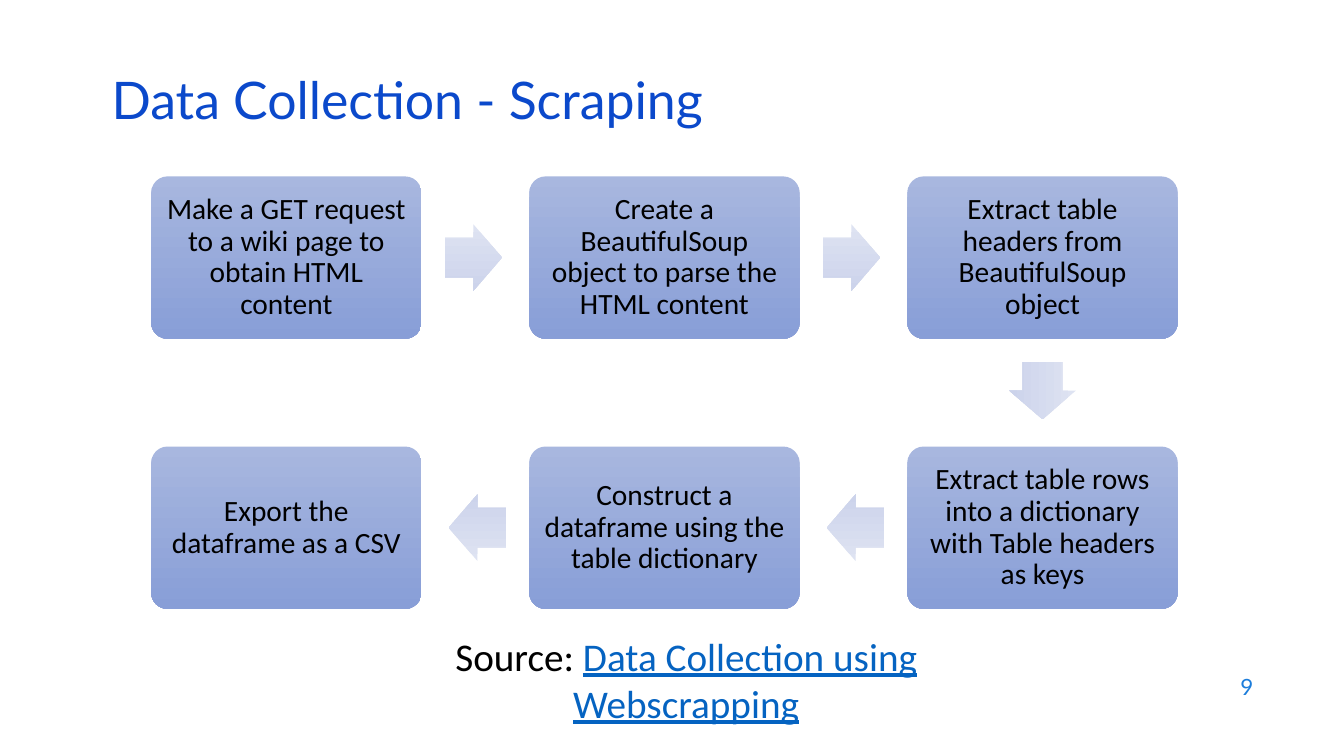
from pptx import Presentation
from pptx.dml.color import RGBColor
from pptx.enum.shapes import MSO_SHAPE
from pptx.enum.text import MSO_ANCHOR, PP_ALIGN
from pptx.util import Inches, Pt

TITLE = "Data Collection - Scraping"
PAGE_NUMBER = "9"
SOURCE_LABEL = "Source: "
SOURCE_LINK = "Data Collection using Webscrapping"

# Steps in order, each with its column, row and the turn of the arrow that follows.
STEPS = [
    ("Make a GET request to a wiki page to obtain HTML content", 0, 0, 0),
    ("Create a BeautifulSoup object to parse the HTML content", 1, 0, 0),
    ("Extract table headers from BeautifulSoup object", 2, 0, 90),
    ("Extract table rows into a dictionary with Table headers as keys", 2, 1, 180),
    ("Construct a dataframe using the table dictionary", 1, 1, 180),
    ("Export the dataframe as a CSV", 0, 1, None),
]

BLACK = RGBColor(0x00, 0x00, 0x00)
TITLE_BLUE = RGBColor(0x0B, 0x49, 0xCB)
NUMBER_BLUE = RGBColor(0x1C, 0x7D, 0xDB)
LINK_BLUE = RGBColor(0x05, 0x63, 0xC1)
BOX_SHADES = RGBColor(0xA8, 0xB7, 0xDF), RGBColor(0x88, 0x9E, 0xD7)
ARROW_SHADES = RGBColor(0xDE, 0xE3, 0xF2), RGBColor(0xCC, 0xD3, 0xEB)

FLOW_LEFT, FLOW_TOP = 1.5, 1.75
COLUMN_PITCH, ROW_PITCH = 3.75, 2.68
BOX_W, BOX_H = 2.68, 1.61
ARROW_W, ARROW_H = 0.57, 0.66
ARROW_GAP = 0.23
DIRECTIONS = {0: (1, 0), 90: (0, 1), 180: (-1, 0)}


def style_run(run, font_name, size, color):
    run.font.name = font_name
    run.font.size = Pt(size)
    run.font.color.rgb = color


def add_label(slide, place, words, font_name, size, color, align, anchor):
    box = slide.shapes.add_textbox(*map(Inches, place))
    frame = box.text_frame
    frame.word_wrap = True
    frame.vertical_anchor = anchor
    frame.text = words
    line = frame.paragraphs[0]
    line.alignment = align
    style_run(line.runs[0], font_name, size, color)
    return line


def add_shaded(slide, preset, place, adjustments, shades):
    """Add a borderless shape shaded from top to bottom."""
    shape = slide.shapes.add_shape(preset, *map(Inches, place))
    shape.shadow.inherit = False
    shape.line.fill.background()
    for index, value in enumerate(adjustments):
        shape.adjustments[index] = value
    shape.fill.gradient()
    shape.fill.gradient_angle = 270
    for stop, shade in zip(shape.fill.gradient_stops, shades):
        stop.color.rgb = shade
    return shape


def add_step(slide, words, left, top):
    step = add_shaded(slide, MSO_SHAPE.ROUNDED_RECTANGLE,
                      (left, top, BOX_W, BOX_H), [0.1], BOX_SHADES)
    frame = step.text_frame
    frame.word_wrap = True
    frame.vertical_anchor = MSO_ANCHOR.MIDDLE
    frame.margin_left = frame.margin_right = Inches(0.09)
    frame.margin_top = frame.margin_bottom = Inches(0.09)
    frame.text = words
    line = frame.paragraphs[0]
    line.alignment = PP_ALIGN.CENTER
    line.line_spacing = 0.9
    style_run(line.runs[0], "Calibri", 21, BLACK)


def add_arrow(slide, left, top, turn):
    """Add the arrow that leaves the step box at left, top."""
    dx, dy = DIRECTIONS[turn]
    reach = ARROW_GAP + ARROW_W / 2
    center_x = left + BOX_W / 2 + dx * (BOX_W / 2 + reach)
    center_y = top + BOX_H / 2 + dy * (BOX_H / 2 + reach)
    place = (center_x - ARROW_W / 2, center_y - ARROW_H / 2, ARROW_W, ARROW_H)
    arrow = add_shaded(slide, MSO_SHAPE.RIGHT_ARROW, place, [0.6, 0.5], ARROW_SHADES)
    arrow.rotation = turn


def main():
    deck = Presentation()
    deck.slide_width, deck.slide_height = Inches(13.33), Inches(7.5)
    slide = deck.slides.add_slide(deck.slide_layouts[6])

    add_label(slide, (9.53, 6.59, 3, 0.44), PAGE_NUMBER, "Lato", 16, NUMBER_BLUE,
              PP_ALIGN.RIGHT, MSO_ANCHOR.MIDDLE)
    title = add_label(slide, (1.01, 0.76, 11.5, 0.6), TITLE, "Lato", 37, TITLE_BLUE,
                      PP_ALIGN.LEFT, MSO_ANCHOR.MIDDLE)
    title.line_spacing = 0.7

    for words, column, row, turn in STEPS:
        left = FLOW_LEFT + column * COLUMN_PITCH
        top = FLOW_TOP + row * ROW_PITCH
        add_step(slide, words, left, top)
        if turn is not None:
            add_arrow(slide, left, top, turn)

    source = add_label(slide, (3.8, 6.22, 6.01, 1.04), SOURCE_LABEL, "Calibri", 28, BLACK,
                       PP_ALIGN.CENTER, MSO_ANCHOR.TOP)
    link = source.add_run()
    link.text = SOURCE_LINK
    style_run(link, "Calibri", 28, LINK_BLUE)
    link.font.underline = True

    deck.save("out.pptx")


if __name__ == "__main__":
    main()
